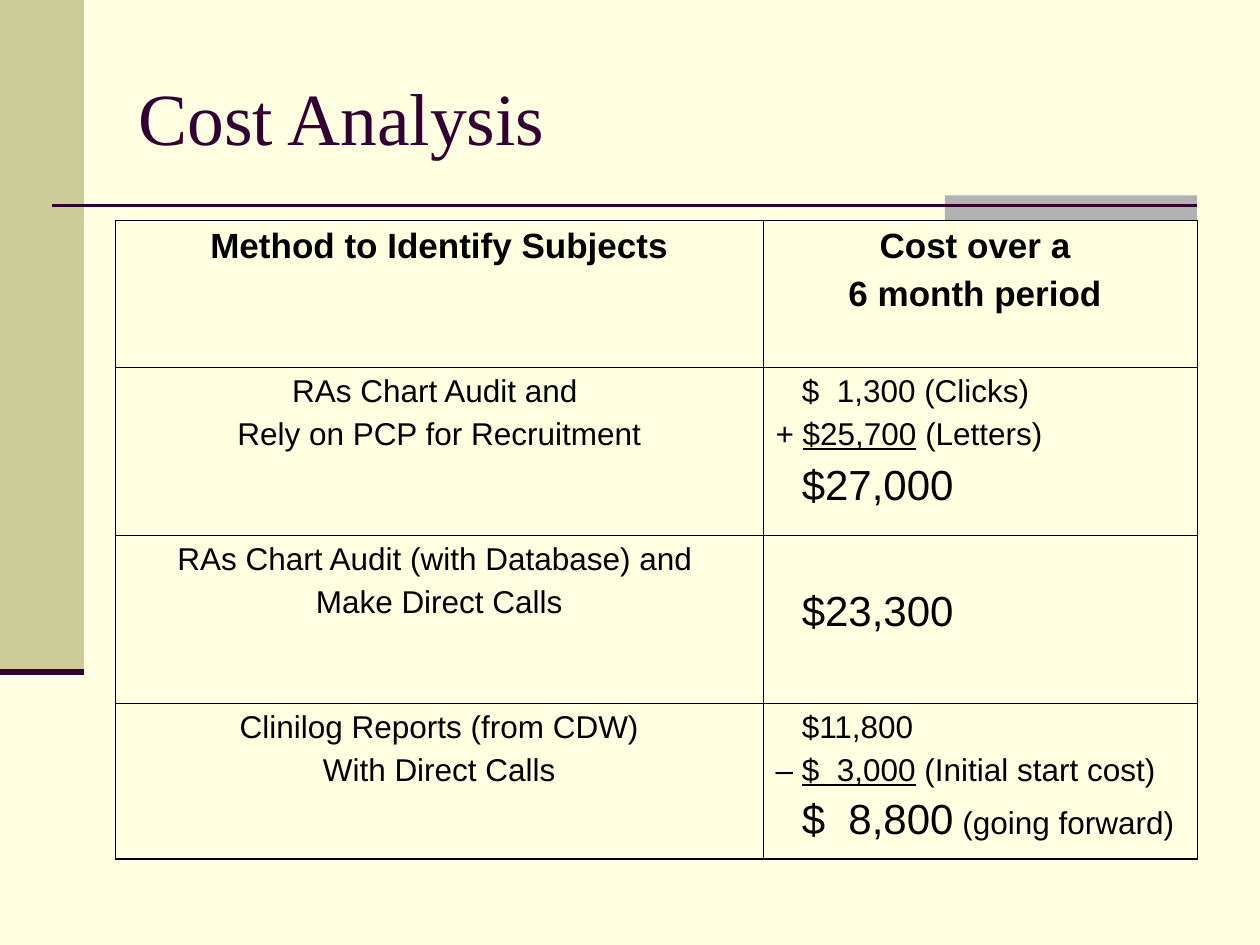
from dataclasses import dataclass

from lxml import etree
from pptx import Presentation
from pptx.dml.color import RGBColor
from pptx.enum import shapes, text
from pptx.oxml import ns
from pptx.util import Pt

CREAM = RGBColor(0xFF, 0xFF, 0xE1)
KHAKI = RGBColor(0xCC, 0xCC, 0x99)
GREY = RGBColor(0xB2, 0xB2, 0xB2)
PLUM = RGBColor(0x33, 0x00, 0x33)
BLACK = RGBColor(0x00, 0x00, 0x00)

THIN, THICK = 0.45, 1.08
AMOUNT_INDENT = 15
COLUMN_WIDTHS = (370, 248)
ROW_HEIGHTS = (84, 96, 96, 89)


@dataclass(frozen=True)
class Piece:
    """A stretch of text in one format."""
    wording: str
    size: float = 18
    bold: bool = False
    underline: bool = False


@dataclass(frozen=True)
class Line:
    pieces: tuple[Piece, ...]
    centred: bool = False
    indent: float = 0
    before: float = 4.5


@dataclass(frozen=True)
class Entry:
    """The content of one table cell."""
    lines: tuple[Line, ...]
    top_margin: float = 3.6


@dataclass(frozen=True)
class Block:
    left: float
    top: float
    width: float
    height: float
    colour: RGBColor


@dataclass(frozen=True)
class Rule:
    left: float
    right: float
    y: float
    weight: float


def heading(*wordings: str) -> Entry:
    return Entry(tuple(Line((Piece(w, 20, True),), True, before=5) for w in wordings))


def method(*wordings: str) -> Entry:
    return Entry(tuple(Line((Piece(w),), True) for w in wordings))


def amount(*pieces: Piece, before: float = 4.5) -> Line:
    return Line(pieces, indent=AMOUNT_INDENT, before=before)


def adjustment(sign: str, figure: str, remark: str) -> Line:
    return Line((Piece(sign + " "), Piece(figure, underline=True), Piece(" " + remark)))


BLOCKS = (
    Block(0, 0, 48, 384, KHAKI),
    Block(540, 111.6, 144, 14.4, GREY),
    Block(48, 126, 654, 390, CREAM),
)
RULES = (Rule(30, 684, 117.5, 1.5), Rule(0, 48, 384, 3.5))

COSTS = (
    (heading("Method to Identify Subjects"),
     heading("Cost over a ", "6 month period ")),
    (method("RAs Chart Audit and ", "Rely on PCP for Recruitment"),
     Entry((amount(Piece("$  1,300 (Clicks)")),
            adjustment("+", "$25,700", "(Letters)"),
            amount(Piece("$27,000", 24), before=6)))),
    (method("RAs Chart Audit (with Database) and ", "Make Direct Calls"),
     Entry((amount(Piece("$23,300", 24)),), top_margin=30.3)),
    (method("Clinilog Reports (from CDW)", "With Direct Calls"),
     Entry((amount(Piece("$11,800")),
            adjustment("–", "$  3,000", "(Initial start cost)"),
            amount(Piece("$  8,800", 24), Piece(" (going forward)"))))),
)


def draw_block(slide, block: Block) -> None:
    shape = slide.shapes.add_shape(
        shapes.MSO_SHAPE.RECTANGLE,
        Pt(block.left), Pt(block.top), Pt(block.width), Pt(block.height))
    shape.shadow.inherit = False
    shape.fill.solid()
    shape.fill.fore_color.rgb = block.colour
    shape.line.fill.background()


def draw_rule(slide, rule: Rule) -> None:
    line = slide.shapes.add_connector(
        shapes.MSO_CONNECTOR.STRAIGHT,
        Pt(rule.left), Pt(rule.y), Pt(rule.right), Pt(rule.y))
    line.line.color.rgb = PLUM
    line.line.width = Pt(rule.weight)
    etree.SubElement(line._element.spPr, ns.qn("a:effectLst"))


def set_title(slide, wording: str) -> None:
    title = slide.shapes.title
    title.left, title.top, title.width, title.height = Pt(72), Pt(21.6), Pt(612), Pt(90)
    frame = title.text_frame
    frame.text = wording
    frame.vertical_anchor = text.MSO_ANCHOR.MIDDLE
    frame.paragraphs[0].alignment = text.PP_ALIGN.LEFT
    font = frame.paragraphs[0].runs[0].font
    font.name, font.size, font.color.rgb = "Times New Roman", Pt(42), PLUM


def set_borders(cell, left: float, right: float, top: float, bottom: float) -> None:
    properties = cell._tc.get_or_add_tcPr()
    for side, weight in zip("LRTB", (left, right, top, bottom)):
        edge = etree.SubElement(properties, ns.qn(f"a:ln{side}"), w=str(Pt(weight)))
        fill = etree.SubElement(edge, ns.qn("a:solidFill"))
        etree.SubElement(fill, ns.qn("a:srgbClr"), val=str(BLACK))


def write_entry(cell, entry: Entry) -> None:
    cell.margin_left = cell.margin_right = Pt(7.2)
    cell.margin_top, cell.margin_bottom = Pt(entry.top_margin), Pt(3.6)
    frame = cell.text_frame
    for number, line in enumerate(entry.lines):
        paragraph = frame.add_paragraph() if number else frame.paragraphs[0]
        paragraph.alignment = text.PP_ALIGN.CENTER if line.centred else text.PP_ALIGN.LEFT
        if number:
            paragraph.space_before = Pt(line.before)
        if line.indent:
            paragraph._p.get_or_add_pPr().set("marL", str(Pt(line.indent)))
        for piece in line.pieces:
            run = paragraph.add_run()
            run.text = piece.wording
            font = run.font
            font.name, font.size, font.color.rgb = "Arial", Pt(piece.size), BLACK
            font.bold, font.underline = piece.bold, piece.underline


def draw_costs(slide) -> None:
    table = slide.shapes.add_table(
        len(COSTS), len(COLUMN_WIDTHS), Pt(66), Pt(126),
        Pt(sum(COLUMN_WIDTHS)), Pt(sum(ROW_HEIGHTS))).table
    table.first_row = table.horz_banding = False
    for column, width in zip(table.columns, COLUMN_WIDTHS):
        column.width = Pt(width)
    for row, height in zip(table.rows, ROW_HEIGHTS):
        row.height = Pt(height)
    last_row = len(COSTS) - 1
    for r, entries in enumerate(COSTS):
        for c, entry in enumerate(entries):
            cell = table.cell(r, c)
            set_borders(cell,
                        left=THIN if c else THICK, right=THIN,
                        top=THIN if r else THICK,
                        bottom=THICK if r == last_row else THIN)
            cell.fill.background()
            write_entry(cell, entry)


def main() -> None:
    deck = Presentation()
    deck.slide_width, deck.slide_height = Pt(720), Pt(540)
    slide = deck.slides.add_slide(deck.slide_layouts[5])
    slide.background.fill.solid()
    slide.background.fill.fore_color.rgb = CREAM
    set_title(slide, "Cost Analysis")
    for block in BLOCKS:
        draw_block(slide, block)
    for rule in RULES:
        draw_rule(slide, rule)
    draw_costs(slide)
    deck.save("out.pptx")


if __name__ == "__main__":
    main()
